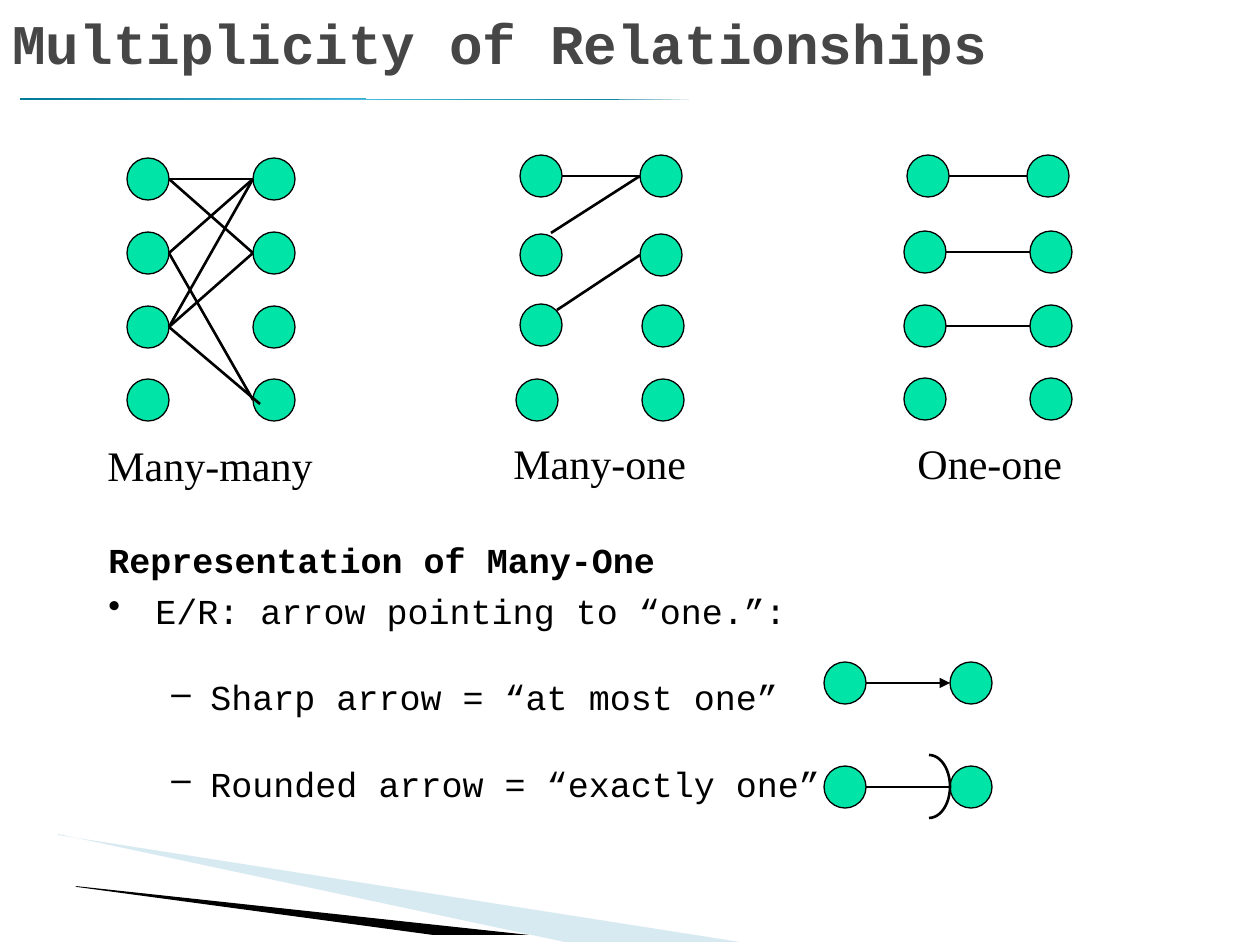
"""Build the slide on multiplicity of relationships."""
from copy import deepcopy

from lxml import etree
from pptx import Presentation
from pptx.dml.color import RGBColor
from pptx.enum.shapes import MSO_CONNECTOR, MSO_SHAPE
from pptx.enum.text import MSO_ANCHOR
from pptx.oxml.ns import qn
from pptx.util import Emu, Pt

STRAIGHT = MSO_CONNECTOR.STRAIGHT
OVAL, ARC, TRIANGLE = MSO_SHAPE.OVAL, MSO_SHAPE.ARC, MSO_SHAPE.RIGHT_TRIANGLE
TOP, BOTTOM = MSO_ANCHOR.TOP, MSO_ANCHOR.BOTTOM

PX = 914400 / 126
DOT = 42
COLORS = {"ink": "000000", "title": "464646", "dot": "00E4A8",
          "swoosh": "9FCBDC", "teal": "007897", "aqua": "4ABBE0"}
MONO, SERIF = "Courier New", "Times New Roman"

TITLE = "Multiplicity of Relationships"
RULE_BOX = (20, 98, 669, 2)
RULE_COLORS = ("teal", "aqua", "teal")
SWOOSHES = [
    ("swoosh", 40, [(58, 835), (740, 942), (565, 942), (58, 834)]),
    ("ink", 100, [(75, 886), (529, 935), (433, 935), (77, 887)]),
]

# text, bold, left margin, hanging indent, space before (pt), bullet
BODY = [
    ("Representation of Many-One", True, 47, 47, 0, None),
    ("E/R: arrow pointing to “one.”:", False, 47, 47, 8, "•"),
    ("Sharp arrow = “at most one”", False, 102, 39, 28.2, "–"),
    ("Rounded arrow = “exactly one”", False, 102, 39, 28.2, "–"),
]
LABELS = [
    ("Many-many", (95, 433, 231, 63)),
    ("Many-one", (501, 431, 198, 63)),
    ("One-one", (905, 431, 170, 63)),
]

# links: left row, right row, start nudge, end nudge
NONE = (0, 0)
MAPPINGS = [
    {"left": [(127, y) for y in (158, 232, 306, 379)],
     "right": [(253, y) for y in (158, 232, 306, 379)],
     "links": [(0, 0, NONE, NONE), (1, 0, NONE, NONE), (2, 0, NONE, NONE),
               (0, 1, NONE, NONE), (1, 3, NONE, NONE), (2, 1, NONE, NONE),
               (2, 3, NONE, (7, 4))]},
    {"left": [(520, 155), (520, 234), (520, 304), (516, 379)],
     "right": [(640, 155), (640, 234), (642, 305), (642, 379)],
     "links": [(0, 0, NONE, NONE), (1, 0, (-11, -22), NONE),
               (2, 1, (-5, -15), NONE)]},
    {"left": [(907, 155), (904, 231), (904, 305), (904, 378)],
     "right": [(1027, 155), (1030, 231), (1030, 305), (1030, 378)],
     "links": [(row, row, NONE, NONE) for row in range(3)]},
    {"left": [(824, 662)], "right": [(950, 662)],
     "links": [(0, 0, NONE, NONE)], "arrow": True},
    {"left": [(824, 766)], "right": [(950, 766)],
     "links": [(0, 0, NONE, NONE)]},
]
ROUNDED_HEAD = (908, 755, 42, 63)


def px(*lengths):
    return [Emu(round(length * PX)) for length in lengths]


def rgb(name):
    return RGBColor.from_string(COLORS[name])


def stroke(line, points):
    line.color.rgb = rgb("ink")
    line.width = Pt(points)


def add_swoosh(shapes, color, opacity, points):
    builder = shapes.build_freeform(*points[0], scale=PX)
    builder.add_line_segments(points[1:], close=True)
    swoosh = builder.convert_to_shape()
    swoosh.shadow.inherit = False
    swoosh.fill.solid()
    swoosh.fill.fore_color.rgb = rgb(color)
    swoosh.line.fill.background()
    if opacity < 100:
        hue = swoosh.fill._xPr.find(".//" + qn("a:srgbClr"))
        etree.SubElement(hue, qn("a:alpha"), val=str(opacity * 1000))


def add_rule(shapes):
    rule = shapes.add_shape(TRIANGLE, *px(*RULE_BOX))
    rule.shadow.inherit = False
    rule.line.fill.background()
    rule.fill.gradient()
    rule.fill.gradient_angle = 0
    stops = rule._element.spPr.find(".//" + qn("a:gsLst"))
    stops.append(deepcopy(stops[-1]))
    for place, (stop, color) in enumerate(zip(rule.fill.gradient_stops, RULE_COLORS)):
        stop.position = place / 2
        stop.color.rgb = rgb(color)


def add_frame(shapes, box, wrap=True, anchor=TOP):
    frame = shapes.add_textbox(*px(*box)).text_frame
    frame.word_wrap = wrap
    frame.vertical_anchor = anchor
    return frame


def add_run(paragraph, text, size, face, color="ink", bold=False):
    run = paragraph.add_run()
    run.text = text
    run.font.size, run.font.name, run.font.bold = Pt(size), face, bold
    run.font.color.rgb = rgb(color)


def add_body(shapes):
    frame = add_frame(shapes, (96, 537, 966, 351))
    for row, (text, bold, margin, hang, before, bullet) in enumerate(BODY):
        paragraph = frame.add_paragraph() if row else frame.paragraphs[0]
        paragraph.line_spacing = Pt(21.2)
        paragraph.space_before = Pt(before)
        props = paragraph._p.get_or_add_pPr()
        props.set("marL", str(px(margin)[0]))
        props.set("indent", str(-px(hang)[0]))
        if bullet:
            etree.SubElement(props, qn("a:buChar"), char=bullet)
        add_run(paragraph, text, 20, MONO, bold=bold)


def add_dot(shapes, corner):
    dot = shapes.add_shape(OVAL, *px(*corner, DOT, DOT))
    dot.shadow.inherit = False
    dot.fill.solid()
    dot.fill.fore_color.rgb = rgb("dot")
    stroke(dot.line, 0.75)


def add_link(shapes, start, end, arrow):
    link = shapes.add_connector(STRAIGHT, *px(*start, *end))
    stroke(link.line, 1.5)
    if arrow:
        etree.SubElement(link.line._get_or_add_ln(), qn("a:tailEnd"), type="triangle")
    etree.SubElement(link._element.spPr, qn("a:effectLst"))


def add_mapping(shapes, mapping):
    left, right = mapping["left"], mapping["right"]
    for corner in left + right:
        add_dot(shapes, corner)
    for source, target, (dx, dy), (ex, ey) in mapping["links"]:
        (x, y), (u, v) = left[source], right[target]
        start = (x + DOT + dx, y + DOT / 2 + dy)
        end = (u + ex, v + DOT / 2 + ey)
        add_link(shapes, start, end, mapping.get("arrow"))


def add_rounded_head(shapes):
    head = shapes.add_shape(ARC, *px(*ROUNDED_HEAD))
    head.adjustments[0], head.adjustments[1] = 162, 54
    head.shadow.inherit = False
    head.fill.background()
    stroke(head.line, 1.5)


def main():
    deck = Presentation()
    deck.slide_width, deck.slide_height = px(1260, 945)
    shapes = deck.slides.add_slide(deck.slide_layouts[6]).shapes
    for swoosh in SWOOSHES:
        add_swoosh(shapes, *swoosh)
    add_rule(shapes)
    title = add_frame(shapes, (0, 0, 1207, 82), anchor=BOTTOM)
    add_run(title.paragraphs[0], TITLE, 32, MONO, "title", True)
    add_body(shapes)
    for mapping in MAPPINGS:
        add_mapping(shapes, mapping)
    for text, box in LABELS:
        label = add_frame(shapes, box, wrap=False)
        add_run(label.paragraphs[0], text, 24, SERIF)
    add_rounded_head(shapes)
    deck.save("out.pptx")


if __name__ == "__main__":
    main()
